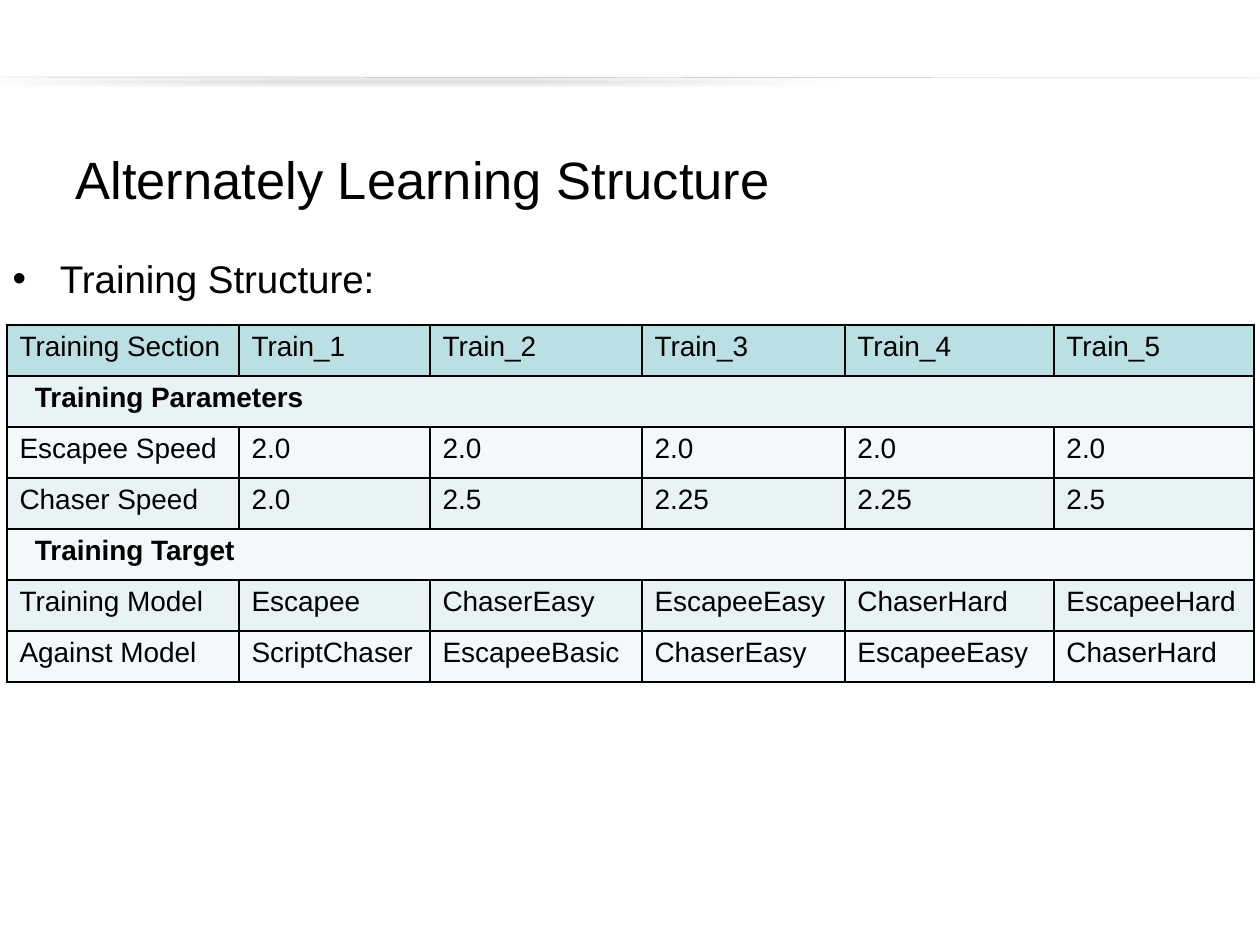
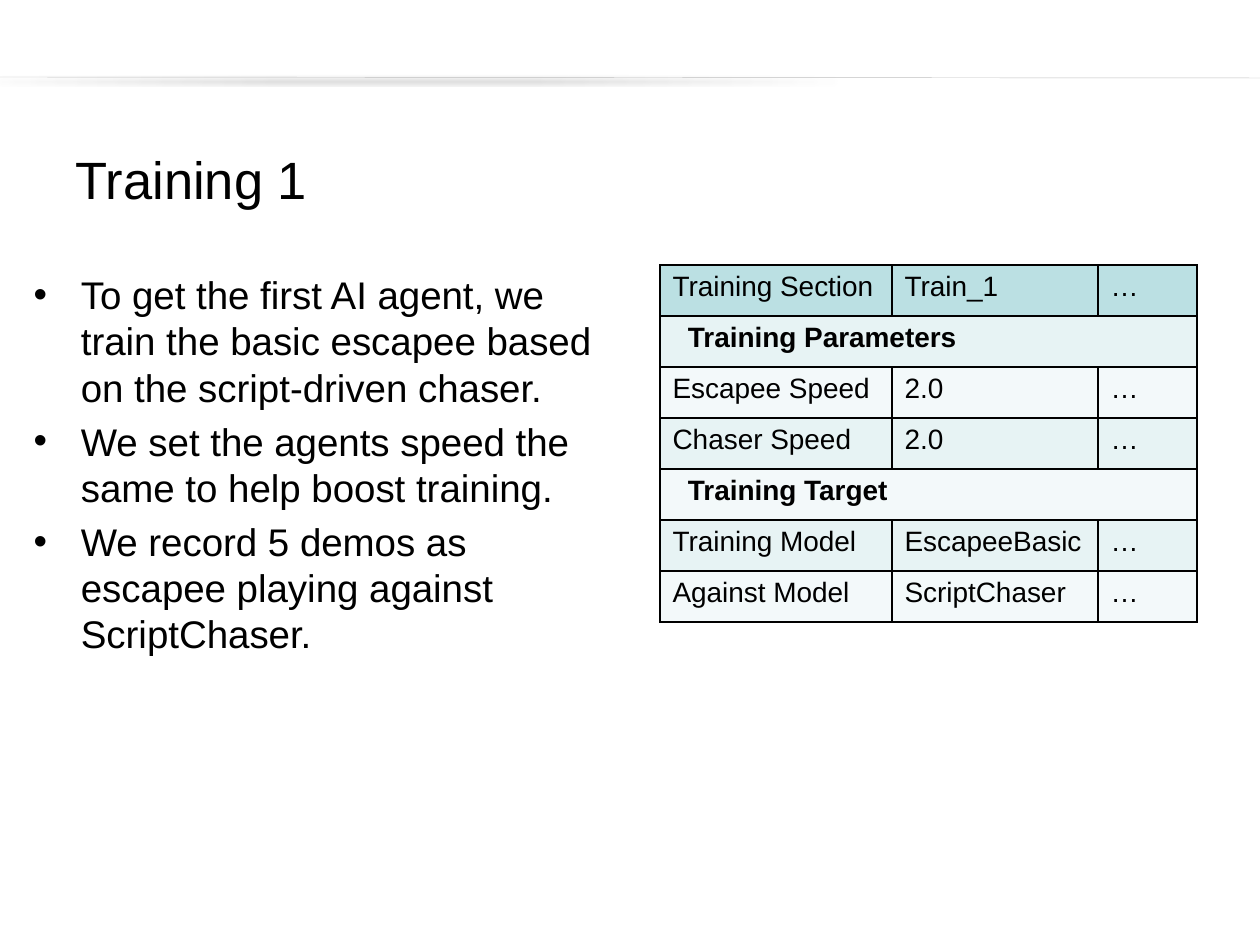
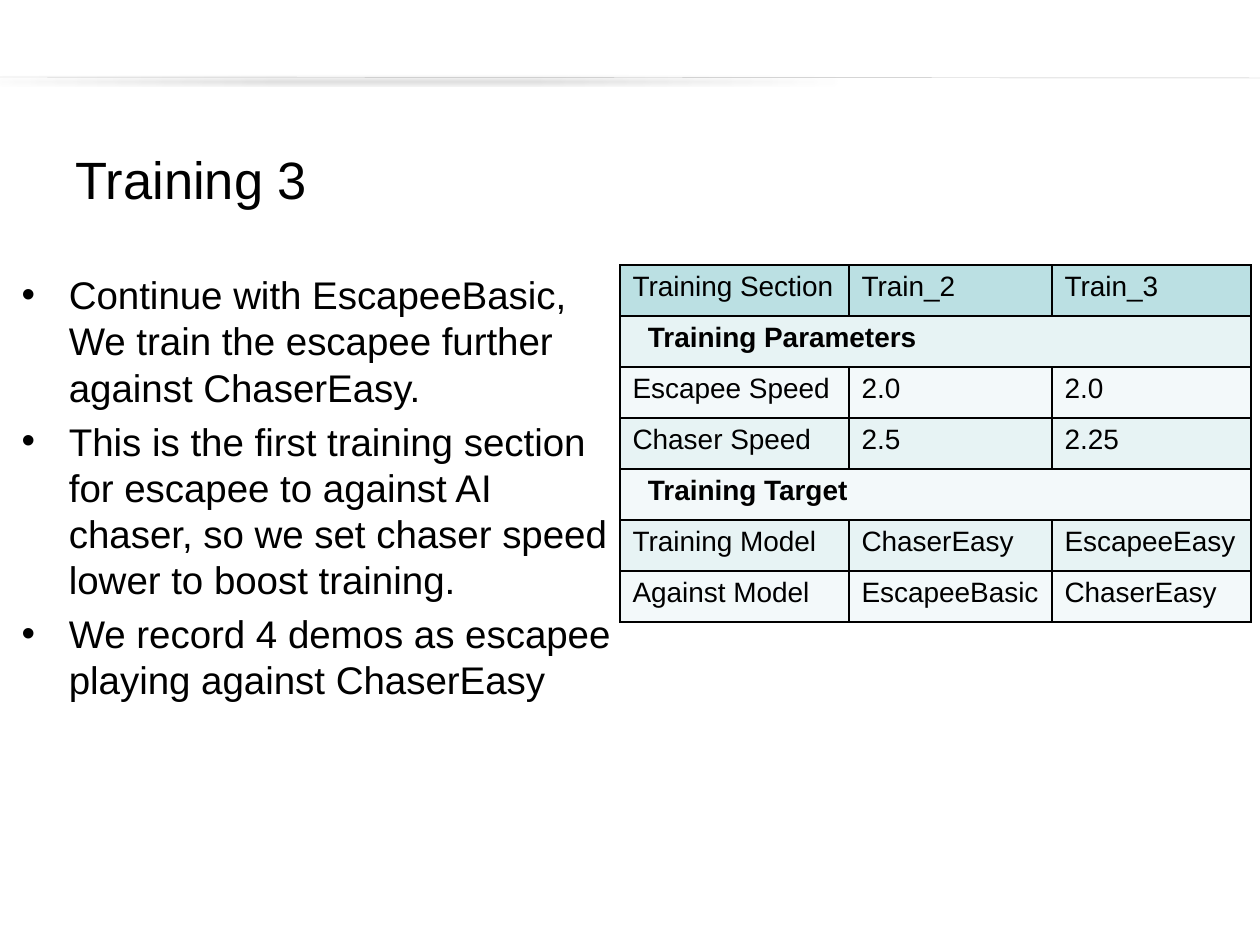
from lxml import etree
from pptx import Presentation
from pptx.dml.color import RGBColor
from pptx.enum.shapes import MSO_CONNECTOR
from pptx.enum.text import MSO_ANCHOR, MSO_AUTO_SIZE, PP_ALIGN
from pptx.oxml import parse_xml
from pptx.oxml.ns import nsdecls, qn
from pptx.util import Emu, Pt

STRAIGHT = MSO_CONNECTOR.STRAIGHT
MIDDLE, TOP = MSO_ANCHOR.MIDDLE, MSO_ANCHOR.TOP
NO_FIT = MSO_AUTO_SIZE.NONE
LEFT = PP_ALIGN.LEFT

BLACK = RGBColor(0x00, 0x00, 0x00)
RULE_GREY = RGBColor(0xBF, 0xBF, 0xBF)
HEADER_TEAL = RGBColor(0xBB, 0xE0, 0xE3)
BANDS = RGBColor(0xE7, 0xF3, 0xF4), RGBColor(0xF3, 0xF9, 0xFA)

FONT = "Arial"
TITLE_SIZE, BODY_SIZE, CELL_SIZE = 30, 22, 16
TITLE_BOX = 63, 123, 1134, 111
ROW_HEIGHT = 51
SECTION_MARGIN = 28

ROW_LABELS = ["Training Section", "Training Parameters", "Escapee Speed", "Chaser Speed",
              "Training Target", "Training Model", "Against Model"]
SECTIONS = {"Training Parameters", "Training Target"}

SLIDES = [
    {
        "title": "Alternately Learning Structure",
        "body_box": (0, 249, 1134, 625),
        "bullets": ["Training Structure:"],
        "table_at": (7, 325),
        "col_widths": [232, 191, 212, 203, 209, 200],
        "trainings": [
            ("Train_1", "2.0", "2.0", "Escapee", "ScriptChaser"),
            ("Train_2", "2.0", "2.5", "ChaserEasy", "EscapeeBasic"),
            ("Train_3", "2.0", "2.25", "EscapeeEasy", "ChaserEasy"),
            ("Train_4", "2.0", "2.25", "ChaserHard", "EscapeeEasy"),
            ("Train_5", "2.0", "2.5", "EscapeeHard", "ChaserHard"),
        ],
    },
    {
        "title": "Training 1",
        "body_box": (21, 265, 609, 625),
        "bullets": [
            "To get the first AI agent, we train the basic escapee based on the script-driven chaser.",
            "We set the agents speed the same to help boost training.",
            "We record 5 demos as escapee playing against ScriptChaser.",
        ],
        "table_at": (660, 265),
        "col_widths": [232, 206, 99],
        "trainings": [
            ("Train_1", "2.0", "2.0", "EscapeeBasic", "ScriptChaser"),
            ("…",) * 5,
        ],
    },
    {
        "title": "Training 3",
        "body_box": (9, 265, 621, 625),
        "bullets": [
            "Continue with EscapeeBasic, We train the escapee further against ChaserEasy.",
            "This is the first training section for escapee to against AI chaser, "
            "so we set chaser speed lower to boost training.",
            "We record 4 demos as escapee playing against ChaserEasy",
        ],
        "table_at": (620, 265),
        "col_widths": [229, 203, 199],
        "trainings": [
            ("Train_2", "2.0", "2.5", "ChaserEasy", "EscapeeBasic"),
            ("Train_3", "2.0", "2.25", "EscapeeEasy", "ChaserEasy"),
        ],
    },
]


def px(n):
    return Emu(round(n * 914400 / 126))


def add_run(p, text, size, bold=False):
    r = p.add_run()
    r.text = text
    r.font.name = FONT
    r.font.size = Pt(size)
    r.font.bold = bold
    r.font.color.rgb = BLACK


def place(sp, box, anchor):
    sp.left, sp.top, sp.width, sp.height = map(px, box)
    tf = sp.text_frame
    tf.word_wrap = True
    tf.auto_size = NO_FIT
    tf.vertical_anchor = anchor
    return tf


def add_rule(s):
    line = s.shapes.add_connector(STRAIGHT, px(0), px(77), px(1260), px(78))
    line.line.color.rgb = RULE_GREY
    line.line.width = Pt(0.25)
    line._element.spPr.append(parse_xml(
        f'<a:effectLst {nsdecls("a")}>'
        f'<a:outerShdw blurRad="{Pt(3.1)}" dist="{Pt(1.6)}" dir="5400000" rotWithShape="0">'
        '<a:srgbClr val="000000"><a:alpha val="38000"/></a:srgbClr>'
        '</a:outerShdw></a:effectLst>'))


def add_title(s, text):
    p = place(s.shapes.title, TITLE_BOX, MIDDLE).paragraphs[0]
    p.alignment = LEFT
    add_run(p, text, TITLE_SIZE)


def add_bullets(s, box, bullets):
    tf = place(s.placeholders[1], box, TOP)
    for i, text in enumerate(bullets):
        p = tf.add_paragraph() if i else tf.paragraphs[0]
        if i == 0:
            p.space_before = Pt(0)
        add_run(p, text, BODY_SIZE)


def add_borders(cell):
    tcPr = cell._tc.get_or_add_tcPr()
    for i, side in enumerate(("a:lnL", "a:lnR", "a:lnT", "a:lnB")):
        ln = etree.Element(qn(side), w=str(Pt(1)))
        fill = etree.SubElement(ln, qn("a:solidFill"))
        etree.SubElement(fill, qn("a:srgbClr"), val=str(BLACK))
        tcPr.insert(i, ln)


def add_training_table(s, at, col_widths, trainings):
    x, y = at
    n_rows, n_cols = len(ROW_LABELS), len(col_widths)
    table = s.shapes.add_table(n_rows, n_cols, px(x), px(y), px(sum(col_widths)),
                               px(n_rows * ROW_HEIGHT)).table
    table.first_row = table.horz_banding = False
    for col, width in zip(table.columns, col_widths):
        col.width = px(width)
    values = zip(*trainings)
    for i, label in enumerate(ROW_LABELS):
        table.rows[i].height = px(ROW_HEIGHT)
        is_section = label in SECTIONS
        texts = [label] if is_section else [label, *next(values)]
        for j in range(n_cols):
            cell = table.cell(i, j)
            cell.fill.solid()
            cell.fill.fore_color.rgb = BANDS[(i - 1) % 2] if i else HEADER_TEAL
            add_borders(cell)
        for j, text in enumerate(texts):
            add_run(table.cell(i, j).text_frame.paragraphs[0], text, CELL_SIZE, is_section)
        if is_section:
            table.cell(i, 0).margin_left = px(SECTION_MARGIN)
            table.cell(i, 0).merge(table.cell(i, n_cols - 1))


def add_training_slide(prs, content):
    s = prs.slides.add_slide(prs.slide_layouts[1])
    add_rule(s)
    add_title(s, content["title"])
    add_bullets(s, content["body_box"], content["bullets"])
    add_training_table(s, content["table_at"], content["col_widths"], content["trainings"])


def main():
    prs = Presentation()
    prs.slide_width, prs.slide_height = px(1260), px(945)
    for content in SLIDES:
        add_training_slide(prs, content)
    prs.save("out.pptx")


if __name__ == "__main__":
    main()
